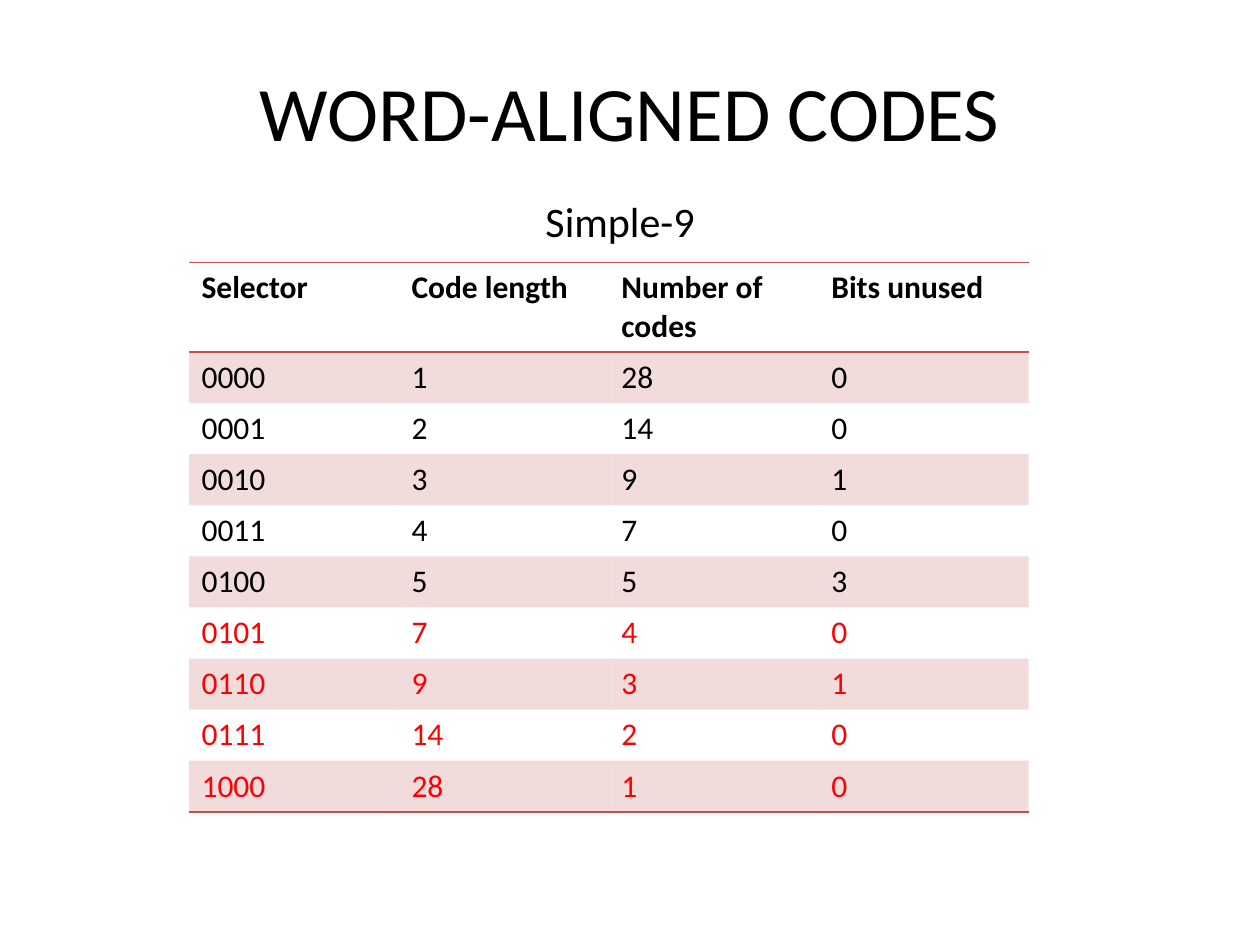
from lxml import etree
from pptx import Presentation
from pptx.dml.color import RGBColor
from pptx.enum.text import MSO_ANCHOR, PP_ALIGN
from pptx.oxml.ns import qn
from pptx.util import Cm, Pt


def rgb(value):
    return RGBColor.from_string(value)


def write(p, text, color="000000", **font):
    r = p.add_run()
    r.text = text
    r.font.color.rgb = rgb(color)
    for name, value in {"name": "Calibri", **font}.items():
        setattr(r.font, name, value)


ACCENT = "C0504D"
NO_STYLE = "{2D5ABB26-0587-4C30-8999-92F81FD0307C}"
ROWS = [
    ("Selector", "Code length", "Number of codes", "Bits unused"),
    ("0000", "1", "28", "0"),
    ("0001", "2", "14", "0"),
    ("0010", "3", "9", "1"),
    ("0011", "4", "7", "0"),
    ("0100", "5", "5", "3"),
    ("0101", "7", "4", "0"),
    ("0110", "9", "3", "1"),
    ("0111", "14", "2", "0"),
    ("1000", "28", "1", "0"),
]
BORDERS = {0: ("lnT", "lnB"), len(ROWS) - 1: ("lnB",)}

prs = Presentation()
prs.slide_width, prs.slide_height = Cm(25.4), Cm(19.05)
s = prs.slides.add_slide(prs.slide_layouts[1])
title, body = s.placeholders

places = [
    (title, {"left": 1.27, "top": 0.64, "width": 22.86, "height": 3.18}),
    (body, {"left": 1.07, "top": 3.81, "width": 22.86, "height": 12.57}),
]
for sp, place in places:
    for name, value in place.items():
        setattr(sp, name, Cm(value))

title.text_frame.vertical_anchor = MSO_ANCHOR.MIDDLE
p = title.text_frame.paragraphs[0]
p.alignment = PP_ALIGN.CENTER
write(p, "WORD-ALIGNED CODES", size=Pt(44))

p = body.text_frame.paragraphs[0]
p.alignment = PP_ALIGN.CENTER
p.space_before = Pt(4.8)
pPr = p._p.get_or_add_pPr()
pPr.set("marL", "0")
pPr.set("indent", "0")
etree.SubElement(pPr, qn("a:buNone"))
write(p, "Simple-9", size=Pt(24))

frame = s.shapes.add_table(len(ROWS), 4, Cm(3.81), Cm(5.29), Cm(16.93), Cm(10.3))
table = frame.table
table._tbl.tblPr.find(qn("a:tableStyleId")).text = NO_STYLE
for row in table.rows:
    row.height = Cm(1.03)

for i, values in enumerate(ROWS):
    for j, text in enumerate(values):
        cell = table.cell(i, j)
        color = "FF0000" if i > 5 else "000000"
        write(cell.text_frame.paragraphs[0], text, color, size=Pt(18), bold=i == 0)
        tcPr = cell._tc.get_or_add_tcPr()
        for side in BORDERS.get(i, ()):
            ln = etree.SubElement(tcPr, qn(f"a:{side}"), w=str(Pt(1)))
            line = etree.SubElement(ln, qn("a:solidFill"))
            etree.SubElement(line, qn("a:srgbClr"), val=ACCENT)
        if i % 2:
            cell.fill.solid()
            cell.fill.fore_color.rgb = rgb(ACCENT)
            clr = tcPr.find(qn("a:solidFill")).find(qn("a:srgbClr"))
            etree.SubElement(clr, qn("a:alpha"), val="20000")
        else:
            cell.fill.background()

prs.save("out.pptx")
